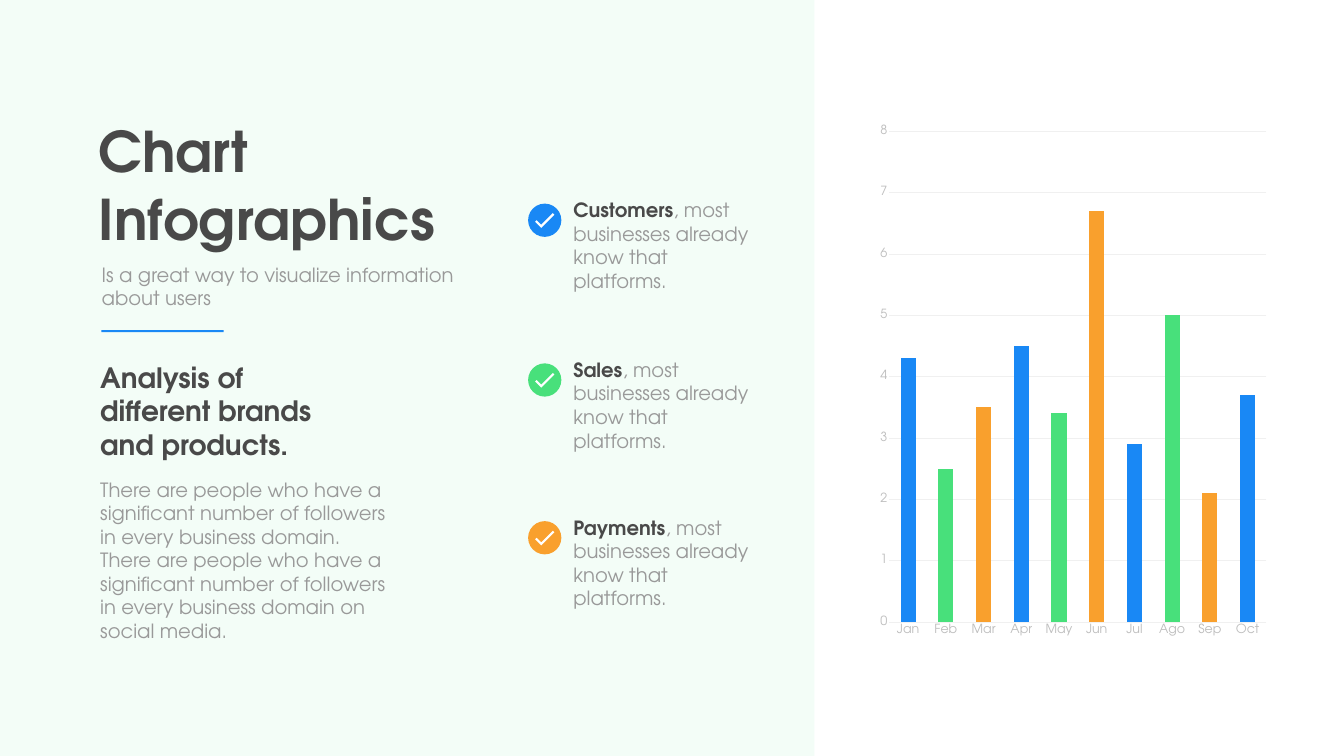
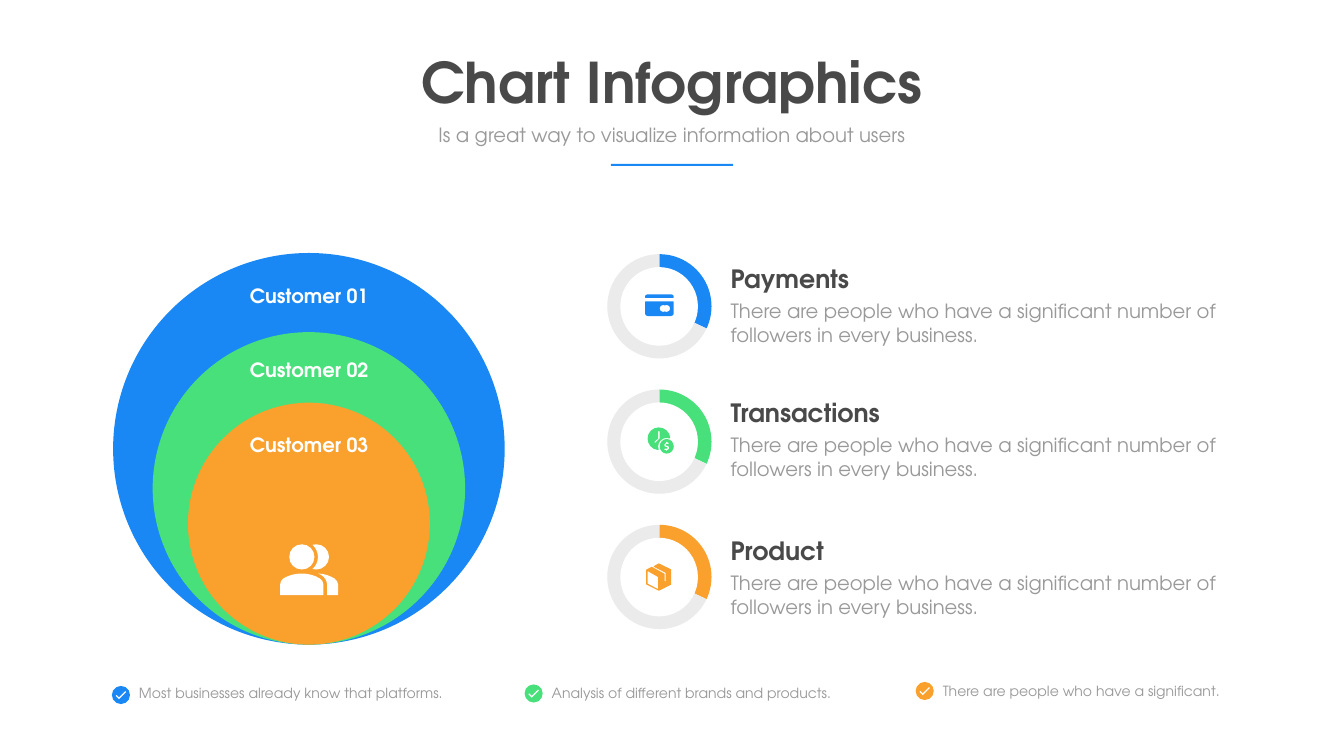
import typing
from dataclasses import dataclass

import lxml.etree
import pptx
import pptx.chart.data
import pptx.dml.color
import pptx.enum.chart
import pptx.enum.shapes
import pptx.enum.text
import pptx.oxml.ns
import pptx.shapes.autoshape
import pptx.slide
import pptx.util

Inches = pptx.util.Inches
qn = pptx.oxml.ns.qn
FACE = "TeX Gyre Adventor"
HUES = {
    "blue": "1988F5",
    "green": "48E07B",
    "orange": "F9A02D",
    "mint": "DAF9E5",
    "dark": "494949",
    "grey": "999999",
    "label": "BDBDBD",
    "grid": "F0F0F0",
    "track": "EBEBEB",
    "white": "FFFFFF",
}
CYCLE = ["blue", "green", "orange"]
OVAL = pptx.enum.shapes.MSO_SHAPE.OVAL
RECT = pptx.enum.shapes.MSO_SHAPE.RECTANGLE
LEFT = pptx.enum.text.PP_ALIGN.LEFT
CENTER = pptx.enum.text.PP_ALIGN.CENTER

TITLE = "Chart Infographics"
LEAD = "Is a great way to visualize information about users"
CLAIM = "There are people who have a significant number of followers in every business"

CHECK = "26 42/17 33/14 36/26 48/52 22/49 19/26 42"
CARD = [
    "52 0/5 0/2 0 0 2 0 4/0 6/0 6 0 7 1 7/56 7/57 7 57 6 57 6/57 4/57 2 55 0 52 0",
    "56 14/1 14/0 14 0 14 0 15/0 38/0 40 2 43 5 43/52 43/55 43 57 40 57 38/57 15/57 14 57 14 56 14"
    "|43 35/42 35 40 35 39 34/38 35 37 35 36 35/32 35 29 32 29 28/29 24 32 21 36 21"
    "/37 21 38 21 39 22/40 21 42 21 43 21/47 21 50 24 50 28/50 32 47 35 43 35",
]
COIN = [
    "21 38/21 28 29 21 38 21/40 21 42 21 43 22/44 22/45 21/45 20/44 9 34 0 22 0"
    "/10 0 0 10 0 22/0 34 9 44 21 45/22 44/22 43/22 41 21 39 21 38"
    "|16 30/14 30/14 28/21 22/21 8/21 7 22 7 22 7/23 7 24 7 24 8/24 22/24 22 24 23 23 23/16 30",
    "38 23/30 23 24 30 24 38/24 45 30 52 38 52/46 52 52 45 52 38/52 30 46 23 38 23"
    "|37 36/38 36/41 36 43 38 43 41/43 43 41 44 39 45/39 46/39 47 39 47 38 47"
    "/37 47 37 47 37 46/37 45/34 45/34 45 33 44 33 44/33 43 34 42 34 42/38 42"
    "/39 42 40 42 40 41/40 40 39 39 38 39/37 39/35 39 33 37 33 35/33 33 35 31 37 31"
    "/37 29/37 29 37 28 38 28/39 28 39 29 39 29/39 30/41 30/42 30 43 31 43 32"
    "/43 32 42 33 41 33/37 33/36 33 36 34 36 35/36 36 36 36 37 36",
]
PARCEL = [
    "50 12/26 0/25 0/16 5/15 5 15 5 15 6/16 7/38 18/39 18 39 19 39 19/39 35"
    "/39 36 39 36 38 36/37 36 37 36 37 35/37 21/37 20 36 20 36 20/12 7/11 7/1 12/0 13"
    "/0 41/1 42/25 54/26 54/50 42/50 41/50 12|24 51/3 40/3 15/24 27/24 51",
]
USERS = [
    "108 68/98 62 87 58 75 58/78 59 81 60 83 62/89 66 93 73 93 80/93 101/115 101/115 80/115 75 112 71 108 68",
    "79 68/68 61 55 58 43 58/30 58 17 61 6 68/2 71 0 75 0 80/0 101/86 101/86 80/86 75 83 71 79 68",
    "64 49/67 50 69 50 72 50/85 50 97 39 97 25/97 11 85 0 72 0/69 0 67 1 64 1/71 7 75 16 75 25/75 35 71 43 64 49",
    "68 25/68 39 57 50 43 50/29 50 18 39 18 25/18 11 29 0 43 0/57 0 68 11 68 25",
]


@dataclass
class Box:
    x: float
    y: float
    w: float
    h: float

    def lengths(self) -> list[int]:
        return [Inches(v) for v in (self.x, self.y, self.w, self.h)]


@dataclass
class Style:
    size: int
    hue: str
    bold: bool = False


@dataclass
class Point:
    name: str
    top: float


@dataclass
class Ring:
    name: str
    top: float
    icon: list[str]
    spot: tuple[float, float]


@dataclass
class Note:
    text: str
    x: float
    y: float
    top: float


HEAD = Style(80, "dark", True)
BODY = Style(28, "grey")
STRONG = Style(28, "dark", True)
TAG = Style(28, "white", True)

POINTS = [Point("Customers", 3.88), Point("Sales", 7.05), Point("Payments", 10.18)]
RINGS = [
    Ring("Payments", 5.18, CARD, (12.8, 5.84)),
    Ring("Transactions", 7.84, COIN, (12.85, 8.48)),
    Ring("Product", 10.57, PARCEL, (12.82, 11.18)),
]
DISCS = [7.77, 6.2, 4.8]
TAGS = [5.59, 7.05, 8.54]
NOTES = [
    Note("Most businesses already know that platforms.", 2.22, 13.61, 13.54),
    Note("Analysis of different brands and products.", 10.41, 13.58, 13.54),
    Note("There are people who have a significant.", 18.17, 13.53, 13.49),
]
SALES = {
    "Jan": 4.3, "Feb": 2.5, "Mar": 3.5, "Apr": 4.5, "May": 3.4,
    "Jun": 6.7, "Jul": 2.9, "Ago": 5, "Sep": 2.1, "Oct": 3.7,
}


def tint(hue: str) -> pptx.dml.color.RGBColor:
    return pptx.dml.color.RGBColor.from_string(HUES[hue])


def paint(part: typing.Any, hue: str) -> None:
    part.fill.solid()
    part.fill.fore_color.rgb = tint(hue)
    part.line.fill.background()


def shape(slide: pptx.slide.Slide, kind: typing.Any, box: Box, hue: str) -> pptx.shapes.autoshape.Shape:
    item = slide.shapes.add_shape(kind, *box.lengths())
    item.shadow.inherit = False
    paint(item, hue)
    return item


def write(slide: pptx.slide.Slide, box: Box, runs: list[tuple[str, Style]], align: typing.Any = LEFT) -> None:
    frame = slide.shapes.add_textbox(*box.lengths()).text_frame
    frame.word_wrap = True
    frame.auto_size = pptx.enum.text.MSO_AUTO_SIZE.SHAPE_TO_FIT_TEXT
    line = frame.paragraphs[0]
    line.alignment = align
    for text, style in runs:
        run = line.add_run()
        run.text = text
        run.font.name = FACE
        run.font.size = pptx.util.Pt(style.size)
        run.font.bold = style.bold
        run.font.color.rgb = tint(style.hue)


def bend(item: pptx.shapes.autoshape.Shape, steps: list[list[float]], dx: int, dy: int) -> None:
    for node, nums in zip(list(item.element.iter(qn("a:lnTo"))), steps):
        if len(nums) == 2:
            continue
        node.tag = qn("a:cubicBezTo")
        for i in (0, 1):
            spot = lxml.etree.Element(qn("a:pt"))
            spot.set("x", str(round(nums[2 * i]) - dx))
            spot.set("y", str(round(nums[2 * i + 1]) - dy))
            node.insert(i, spot)


def draw(slide: pptx.slide.Slide, outline: str, x: float, y: float, hue: str, scale: float = 1) -> None:
    unit = Inches(0.01) * scale
    pen = None
    steps: list[list[float]] = []
    for contour in outline.split("|"):
        first, *rest = [[float(n) * unit for n in step.split()] for step in contour.split("/")]
        if pen is None:
            pen = slide.shapes.build_freeform(*first)
        else:
            pen.move_to(*first)
        pen.add_line_segments([(nums[-2], nums[-1]) for nums in rest], close=True)
        steps += rest
    item = pen.convert_to_shape(Inches(x), Inches(y))
    bend(item, steps, item.left - Inches(x), item.top - Inches(y))
    item.shadow.inherit = False
    paint(item, hue)


def badge(slide: pptx.slide.Slide, x: float, y: float, size: float, hue: str) -> None:
    shape(slide, OVAL, Box(x, y, size, size), hue)
    draw(slide, CHECK, x, y, "white", size / 0.66)


def header(slide: pptx.slide.Slide, title: Box, lead: Box, rule: tuple[float, float], align: typing.Any) -> None:
    write(slide, title, [(TITLE, HEAD)], align)
    write(slide, lead, [(LEAD, BODY)], align)
    shape(slide, RECT, Box(*rule, 2.43, 0.04), "blue")


def chart(
    slide: pptx.slide.Slide, kind: typing.Any, box: Box, data: dict[str, float], hues: list[str], face: str, size: int
) -> typing.Any:
    table = pptx.chart.data.CategoryChartData()
    table.categories = list(data)
    table.add_series("Series 1", list(data.values()))
    plan = slide.shapes.add_chart(kind, *box.lengths(), table).chart
    plan.has_legend = plan.has_title = False
    plan.font.name = face
    plan.font.size = pptx.util.Pt(size)
    plan.font.color.rgb = tint("grey")
    plan.plots[0].vary_by_categories = False
    for i, hue in enumerate(hues):
        paint(plan.plots[0].series[0].points[i].format, hue)
    return plan


def columns(slide: pptx.slide.Slide) -> None:
    kind = pptx.enum.chart.XL_CHART_TYPE.COLUMN_STACKED
    hues = [CYCLE[i % 3] for i in range(len(SALES))]
    plan = chart(slide, kind, Box(17.31, 2.27, 7.98, 10.56), SALES, hues, FACE, 18)
    paint(plan.plots[0].series[0].format, "blue")
    plan.plots[0].gap_width = 150
    plan.plots[0].overlap = 100
    scale = plan.value_axis
    scale.minimum_scale, scale.maximum_scale, scale.major_unit = 0, 8, 1
    scale.has_major_gridlines = True
    for axis in (plan.category_axis, scale):
        axis.major_tick_mark = axis.minor_tick_mark = pptx.enum.chart.XL_TICK_MARK.NONE
        font = axis.tick_labels.font
        font.name, font.size = FACE, pptx.util.Pt(18)
        font.color.rgb = tint("label")
    for line in (plan.category_axis.format.line, scale.major_gridlines.format.line):
        line.color.rgb = tint("grid")
        line.width = pptx.util.Pt(0.75)
    scale.format.line.fill.background()


def ring(slide: pptx.slide.Slide, y: float, hue: str) -> None:
    kind = pptx.enum.chart.XL_CHART_TYPE.PIE
    plan = chart(slide, kind, Box(12.04, y, 2.09, 2.12), {"1": 32, "2": 68}, [hue, "track"], "Calibri", 10)
    area = plan.element.find(".//" + qn("c:plotArea"))
    for old in area.findall(qn("c:layout")):
        area.remove(old)
    layout = lxml.etree.Element(qn("c:layout"))
    area.insert(0, layout)
    place = lxml.etree.SubElement(layout, qn("c:manualLayout"))
    rules = {"layoutTarget": "inner", "xMode": "edge", "yMode": "edge", "x": 0.005, "y": 0.005, "w": 0.99, "h": 0.988}
    for name, value in rules.items():
        lxml.etree.SubElement(place, qn("c:" + name)).set("val", str(value))
    shape(slide, OVAL, Box(12.31, y + 0.28, 1.54, 1.56), "white")


def trends(slide: pptx.slide.Slide) -> None:
    panel = shape(slide, RECT, Box(0, 0, 16.16, 15), "mint")
    color = panel.element.find(".//" + qn("a:srgbClr"))
    lxml.etree.SubElement(color, qn("a:alpha")).set("val", "30000")
    header(slide, Box(1.86, 2.27, 7.34, 2.79), Box(1.92, 5.16, 7.61, 1.04), (2.01, 6.55), LEFT)
    write(slide, Box(1.89, 9.43, 5.97, 3.4), [(f"{CLAIM} domain. {CLAIM} domain on social media.", BODY)])
    write(slide, Box(1.89, 7.1, 4.95, 2.12), [("Analysis of different brands and products.", Style(40, "dark", True))])
    for point, hue in zip(POINTS, CYCLE):
        badge(slide, 10.48, point.top + 0.16, 0.66, hue)
        runs = [(point.name, STRONG), (", most businesses already know that platforms.", BODY)]
        write(slide, Box(11.28, point.top, 3.94, 1.99), runs)
    columns(slide)


def groups(slide: pptx.slide.Slide) -> None:
    header(slide, Box(6.88, 0.9, 12.91, 1.45), Box(8.55, 2.38, 9.56, 0.57), (12.12, 3.25), CENTER)
    for size, hue in zip(DISCS, CYCLE):
        shape(slide, OVAL, Box(6.13 - size / 2, 12.79 - size, size, size), hue)
    for i, top in enumerate(TAGS, 1):
        write(slide, Box(4.33, top, 3.61, 0.57), [(f"Customer {i:02}", TAG)], CENTER)
    for i, (item, hue) in enumerate(zip(RINGS, CYCLE)):
        ring(slide, 5.02 + 2.685 * i, hue)
        write(slide, Box(14.4, item.top + 0.71, 10.27, 1.04), [(CLAIM + ".", BODY)])
        write(slide, Box(14.4, item.top, 7.75, 0.71), [(item.name, Style(36, "dark", True))])
        for outline in item.icon:
            draw(slide, outline, *item.spot, hue)
    for note, hue in zip(NOTES, CYCLE):
        badge(slide, note.x, note.y, 0.36, hue)
        write(slide, Box(note.x + 0.44, note.top, 6.32, 0.44), [(note.text, Style(20, "grey"))])
    for outline in USERS:
        draw(slide, outline, 5.56, 10.8, "white")


def main() -> None:
    deck = pptx.Presentation()
    deck.slide_width, deck.slide_height = Inches(26.67), Inches(15)
    for build in (trends, groups):
        build(deck.slides.add_slide(deck.slide_layouts[6]))
    deck.save("out.pptx")


if __name__ == "__main__":
    main()
